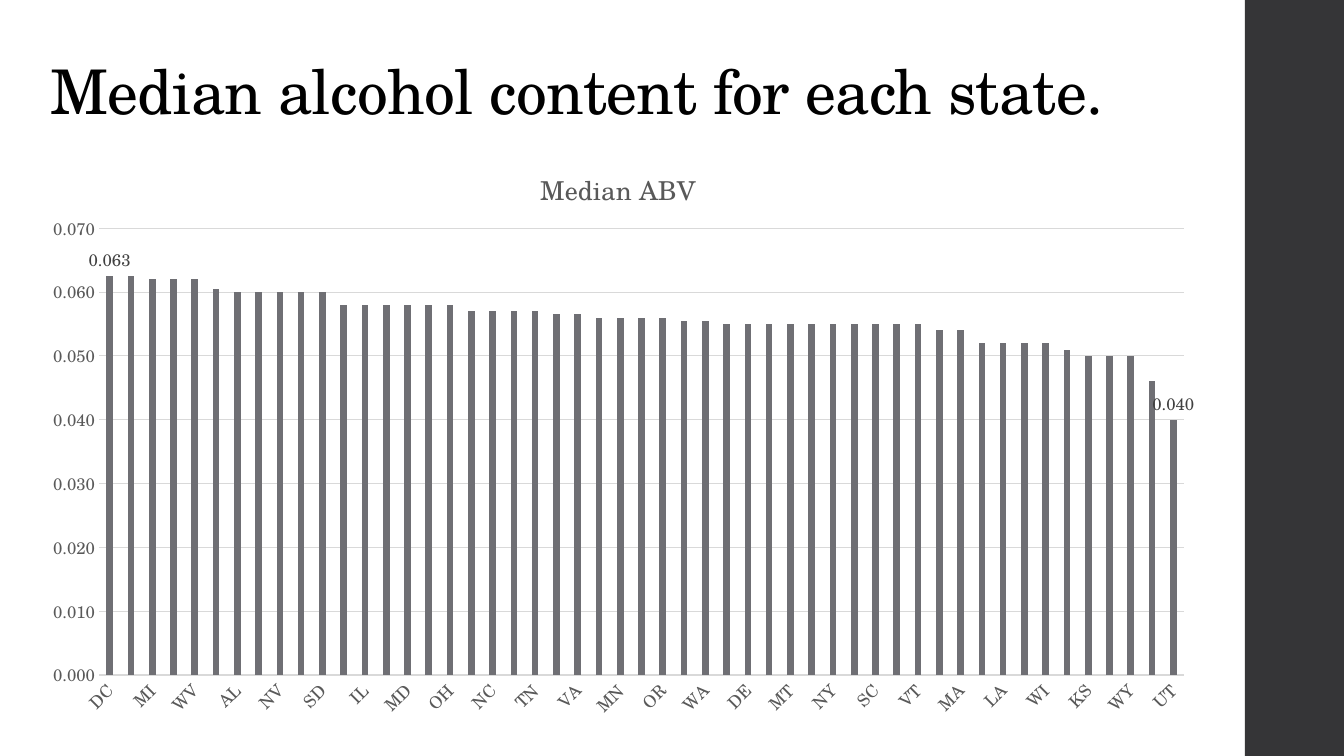
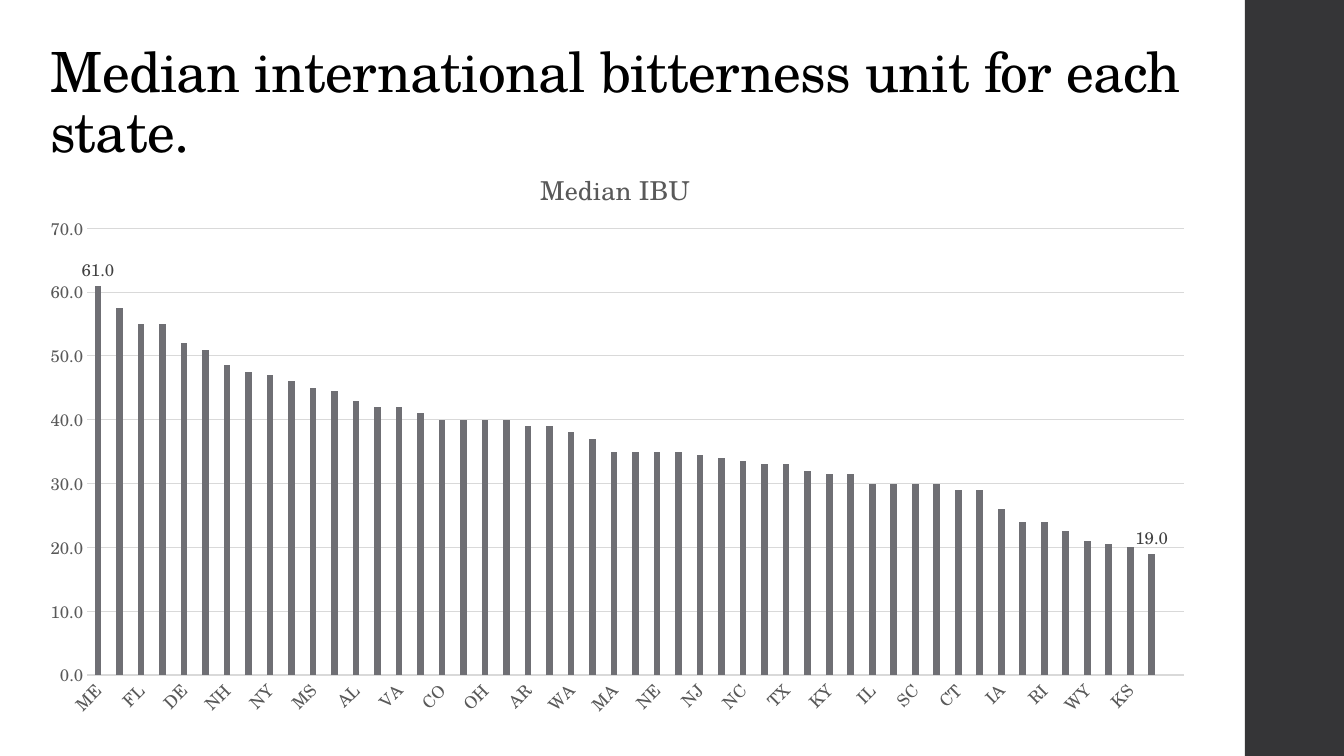
from dataclasses import dataclass

from lxml.etree import SubElement
from pptx import Presentation
from pptx.chart.data import CategoryChartData
from pptx.dml.color import RGBColor
from pptx.enum.chart import XL_CHART_TYPE, XL_LABEL_POSITION, XL_TICK_MARK
from pptx.enum.shapes import MSO_SHAPE
from pptx.enum.text import MSO_ANCHOR, MSO_AUTO_SIZE, PP_ALIGN
from pptx.oxml.ns import qn
from pptx.util import Pt


@dataclass(frozen=True)
class Theme:
    """Colours, font and type sizes of the deck."""
    font: str = "TeX Gyre Schola"
    title: str = "000000"
    band: str = "353537"
    bar: str = "6F6F74"
    grid: str = "D9D9D9"
    axis: str = "595959"
    label: str = "404040"
    chart_title_size: float = 18.6
    axis_size: float = 12


@dataclass(frozen=True)
class StateChart:
    """Content and scale of one chart slide."""
    heading: str
    heading_size: float
    heading_height: float
    chart_title: str
    title_left: float
    plot_left: float
    number_format: str
    maximum: float
    states: list
    values: list
    labelled: tuple


ALCOHOL = StateChart(
    "Median alcohol content for each state.", 44, 66.2,
    "Median ABV", 0.43, 0.06, "0.000", 0.07,
    ("DC KY MI NM WV CO AL CT NV OK SD CA IL IN MD MS OH FL NC PA TN ID VA AK MN NE "
     "OR IA WA AZ DE GA MT NH NY RI SC TX VT HI MA AR LA MO WI ME KS ND WY NJ UT").split(),
    [0.0625] * 2 + [0.062] * 3 + [0.0605] + [0.06] * 5 + [0.058] * 6 + [0.057] * 4
    + [0.0565] * 2 + [0.056] * 4 + [0.0555] * 2 + [0.055] * 10 + [0.054] * 2
    + [0.052] * 4 + [0.051] + [0.05] * 3 + [0.046, 0.04],
    (0, 50),
)
BITTERNESS = StateChart(
    "Median international bitterness unit for each state.", 39.6, 92.2,
    "Median IBU", 0.43, 0.05, "0.0", 70,
    ("ME WV FL GA DE NM NH DC NY AK MS MN AL CA VA NV CO MT OH OR AR ID WA TN MA MI "
     "NE OK NJ UT NC IN TX ND KY LA IL PA SC VT CT MD IA MO RI HI WY AZ KS WI").split() + [""],
    [61, 57.5, 55, 55, 52, 51, 48.5, 47.5, 47, 46, 45, 44.5, 43, 42, 42, 41, 40, 40, 40, 40,
     39, 39, 38, 37, 35, 35, 35, 35, 34.5, 34, 33.5, 33, 33, 32, 31.5, 31.5, 30, 30, 30, 30,
     29, 29, 26, 24, 24, 22.5, 21, 20.5, 20, 19, None],
    (0, 49),
)


class Deck:
    """Holds the theme and the current slide, and draws each kind of element."""

    def __init__(self, theme):
        """Start an empty widescreen presentation."""
        self.theme = theme
        self.presentation = Presentation()
        self.presentation.slide_width = Pt(960)
        self.presentation.slide_height = Pt(540)
        self.slide = None

    def add_slide(self):
        """Add a title-only slide with the side band."""
        self.slide = self.presentation.slides.add_slide(self.presentation.slide_layouts[5])
        band = self.slide.shapes.add_shape(
            MSO_SHAPE.RECTANGLE, Pt(889.2), Pt(0), Pt(70.8), Pt(540))
        band.shadow.inherit = False
        band.fill.solid()
        band.fill.fore_color.rgb = RGBColor.from_string(self.theme.band)
        band.line.fill.background()

    def style_font(self, font, size, color):
        """Apply the theme font with a size and colour."""
        font.name = self.theme.font
        font.size = Pt(size)
        font.bold = False
        font.color.rgb = RGBColor.from_string(color)

    def add_title(self, text, size, height):
        """Place and format the title placeholder."""
        title = self.slide.shapes.title
        title.left, title.top, title.width, title.height = map(Pt, (28.8, 28.8, 833.8, height))
        frame = title.text_frame
        frame.text = text
        frame.word_wrap = True
        frame.auto_size = MSO_AUTO_SIZE.NONE
        frame.vertical_anchor = MSO_ANCHOR.BOTTOM
        paragraph = frame.paragraphs[0]
        paragraph.alignment = PP_ALIGN.LEFT
        paragraph.line_spacing = 0.9
        run = paragraph.runs[0]
        self.style_font(run.font, size, self.theme.title)
        run.font._element.set("spc", "-50")

    def set_layout(self, parent, index, **settings):
        """Give a chart part a manual layout."""
        for old_layout in parent.findall(qn("c:layout")):
            parent.remove(old_layout)
        layout = SubElement(parent, qn("c:layout"))
        parent.insert(index, layout)
        manual = SubElement(layout, qn("c:manualLayout"))
        for name, value in settings.items():
            SubElement(manual, qn(f"c:{name}")).set("val", str(value))

    def style_axis(self, axis):
        """Apply the shared look of both axes."""
        axis.major_tick_mark = axis.minor_tick_mark = XL_TICK_MARK.NONE
        self.style_font(axis.tick_labels.font, self.theme.axis_size, self.theme.axis)

    def style_line(self, line):
        """Apply the thin grid line."""
        line.color.rgb = RGBColor.from_string(self.theme.grid)
        line.width = Pt(0.75)

    def add_chart(self, content):
        """Add a column chart with labels on chosen points."""
        data = CategoryChartData(number_format=content.number_format)
        data.categories = content.states
        data.add_series("Series 1", content.values)
        chart = self.slide.shapes.add_chart(
            XL_CHART_TYPE.COLUMN_CLUSTERED, Pt(20.2), Pt(95), Pt(842.4), Pt(425.5), data).chart
        self.style_font(chart.font, 10, self.theme.title)
        chart.has_legend = False
        self.add_chart_title(chart, content)

        plot = chart.plots[0]
        plot.gap_width = 219
        plot.overlap = -27
        plot.vary_by_categories = False
        self.style_series(plot.series[0], content.labelled)

        self.style_axis(chart.category_axis)
        self.style_line(chart.category_axis.format.line)
        body = chart.category_axis._element.find(f"{qn('c:txPr')}/{qn('a:bodyPr')}")
        body.set("rot", "-60000000")
        body.set("vert", "horz")

        value_axis = chart.value_axis
        self.style_axis(value_axis)
        value_axis.minimum_scale = 0
        value_axis.maximum_scale = content.maximum
        value_axis.major_unit = content.maximum / 7
        value_axis.format.line.fill.background()
        value_axis.has_major_gridlines = True
        self.style_line(value_axis.major_gridlines.format.line)
        value_axis.tick_labels.number_format = content.number_format
        value_axis.tick_labels.number_format_is_linked = False

        plot_area = chart._chartSpace.find(f"{qn('c:chart')}/{qn('c:plotArea')}")
        self.set_layout(plot_area, 0, layoutTarget="inner", xMode="edge", yMode="edge",
                        x=content.plot_left, y=0.16, w=round(0.98 - content.plot_left, 2), h=0.75)

    def add_chart_title(self, chart, content):
        """Write and place the chart title."""
        chart.has_title = True
        frame = chart.chart_title.text_frame
        frame.text = content.chart_title
        self.style_font(frame.paragraphs[0].runs[0].font,
                        self.theme.chart_title_size, self.theme.axis)
        self.set_layout(chart.chart_title._element, 1,
                        xMode="edge", yMode="edge", x=content.title_left, y=0.05)

    def style_series(self, series, labelled):
        """Colour the columns and label the chosen points."""
        series.format.fill.solid()
        series.format.fill.fore_color.rgb = RGBColor.from_string(self.theme.bar)
        series.data_labels.show_value = False
        for index in labelled:
            label = series.points[index].data_label
            self.style_font(label.font, self.theme.axis_size, self.theme.label)
            label.position = XL_LABEL_POSITION.OUTSIDE_END


def main():
    """Build and save both chart slides."""
    deck = Deck(Theme())
    for content in (ALCOHOL, BITTERNESS):
        deck.add_slide()
        deck.add_title(content.heading, content.heading_size, content.heading_height)
        deck.add_chart(content)
    deck.presentation.save("out.pptx")


if __name__ == "__main__":
    main()
